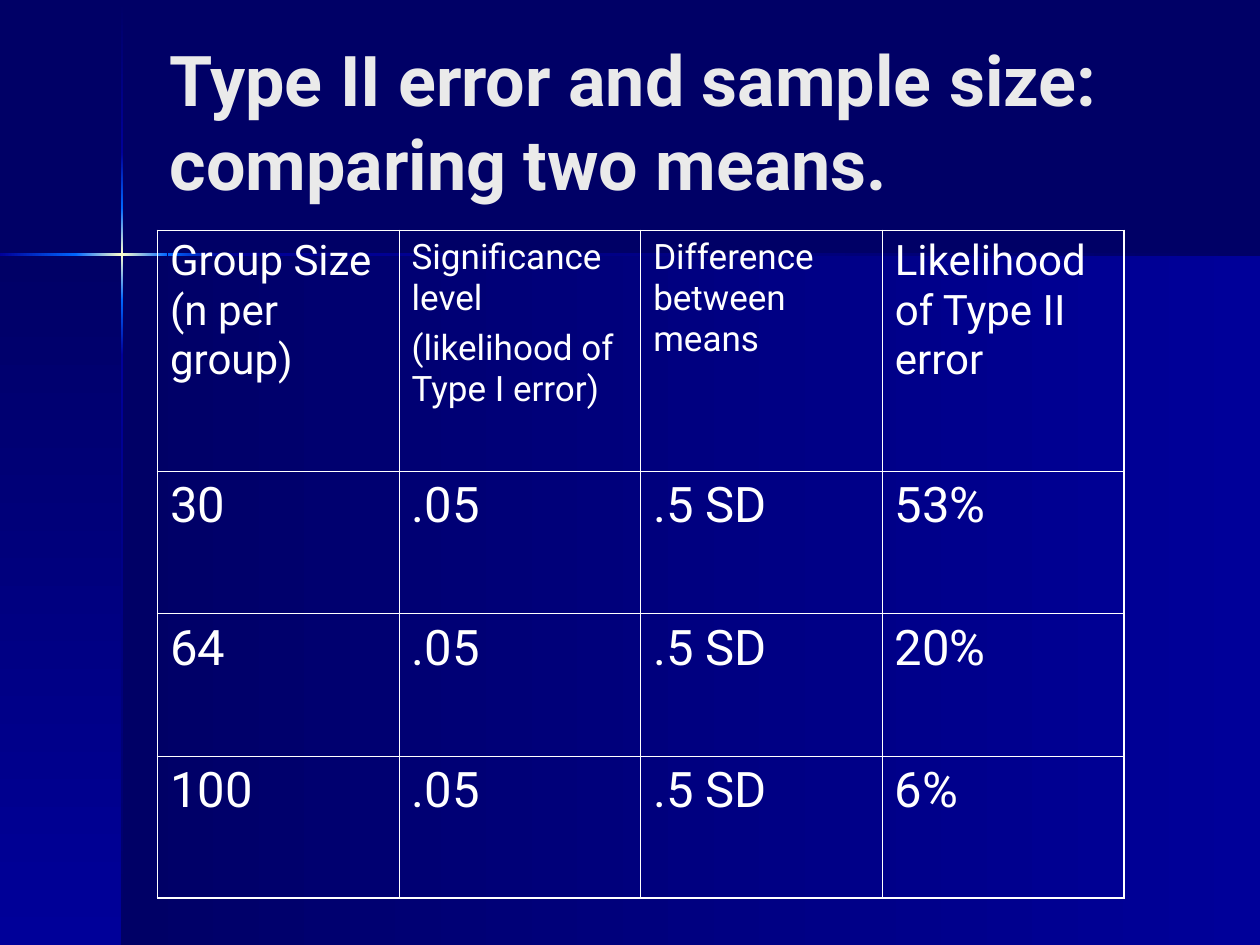
from copy import deepcopy

from lxml import etree
from pptx import Presentation
from pptx.dml.color import RGBColor
from pptx.enum.shapes import MSO_SHAPE
from pptx.enum.text import MSO_ANCHOR
from pptx.oxml.ns import qn
from pptx.util import Pt

RECT = MSO_SHAPE.RECTANGLE
MIDDLE = MSO_ANCHOR.MIDDLE
PX = 9144  # EMU per px, 100 px to the inch
FONT = "Roboto"
NAVY = RGBColor(0x00, 0x00, 0x66)
BLUE = RGBColor(0x00, 0x00, 0x99)
BRIGHT = RGBColor(0x00, 0x66, 0xFF)
GLOW = RGBColor(0xFF, 0xFF, 0xCC)
PALE = RGBColor(0xEA, 0xEA, 0xEA)
WHITE = RGBColor(0xFF, 0xFF, 0xFF)
DOWN, LEFTWARD = 270, 180


def write(tf, text, size, color=WHITE, bold=False, gap=0):
    """Write one paragraph per line, with a gap in points between them."""
    tf.word_wrap = True
    for i, line in enumerate(text.split("\n")):
        p = tf.add_paragraph() if i else tf.paragraphs[0]
        if i:
            p.space_before = Pt(gap)
        r = p.add_run()
        r.text = line
        r.font.name = FONT
        r.font.size = Pt(size)
        r.font.bold = bold
        r.font.color.rgb = color


def add_border(cell, side, width):
    ln = etree.SubElement(cell._tc.get_or_add_tcPr(), qn(f"a:ln{side}"), w=str(Pt(width)))
    fill = etree.SubElement(ln, qn("a:solidFill"))
    etree.SubElement(fill, qn("a:srgbClr"), val=str(WHITE))


prs = Presentation()
prs.slide_width, prs.slide_height = 1000 * PX, 750 * PX
slide = prs.slides.add_slide(prs.slide_layouts[6])
slide.background.fill.solid()
slide.background.fill.fore_color.rgb = NAVY

# Background panels and the glowing cross: left, top, width, height, angle, colours
bands = [
    (97, 202, 903, 548, LEFTWARD, (BLUE, NAVY)),
    (0, 202, 97, 548, DOWN, (NAVY, BLUE)),
    (96, 1, 2, 120, DOWN, (NAVY, BLUE)),
    (96, 282, 2, 468, DOWN, (BLUE, NAVY)),
    (177, 201, 823, 2, LEFTWARD, (NAVY, BLUE)),
    (96, 238, 2, 44, DOWN, (BRIGHT, BLUE)),
    (96, 121, 2, 44, DOWN, (BLUE, BRIGHT)),
    (96, 165, 2, 73, DOWN, (BRIGHT, GLOW, BRIGHT)),
    (0, 201, 61, 2, LEFTWARD, (BRIGHT, BLUE)),
    (133, 201, 44, 2, LEFTWARD, (BLUE, BRIGHT)),
    (60, 201, 73, 2, LEFTWARD, (BRIGHT, GLOW, BRIGHT)),
]
for left, top, width, height, angle, colors in bands:
    sp = slide.shapes.add_shape(RECT, left * PX, top * PX, width * PX, height * PX)
    sp.shadow.inherit = False
    sp.line.fill.background()
    sp.fill.gradient()
    sp.fill.gradient_angle = angle
    if len(colors) == 3:
        stops = next(sp._element.iter(qn("a:gsLst")))
        stops.append(deepcopy(stops[0]))
    for i, (stop, color) in enumerate(zip(sp.fill.gradient_stops, colors)):
        stop.position = i / (len(colors) - 1)
        stop.color.rgb = color

# Title
sp = slide.shapes.add_textbox(125 * PX, 17 * PX, 825 * PX, 157 * PX)
sp.text_frame.vertical_anchor = MIDDLE
write(sp.text_frame, "Type II error and sample size: comparing two means.", 40,
      color=PALE, bold=True)

# Table
headers = [
    ("Group Size (n per group)", 24),
    ("Significance level\n(likelihood of Type I error)", 20),
    ("Difference between means", 20),
    ("Likelihood of Type II error", 24),
]
results = [("30", "53%"), ("64", "20%"), ("100", "6%")]
rows = [headers] + [[(t, 28) for t in (n, ".05", ".5 SD", risk)] for n, risk in results]
heights = [191, 113, 113, 113]
last = len(rows) - 1
table = slide.shapes.add_table(4, 4, 125 * PX, 183 * PX, 767 * PX, sum(heights) * PX).table
table.first_row = table.horz_banding = False
for i, row in enumerate(rows):
    table.rows[i].height = heights[i] * PX
    for j, (text, size) in enumerate(row):
        cell = table.cell(i, j)
        write(cell.text_frame, text, size, gap=5)
        for side, outer in (("L", j == 0), ("R", j == last), ("T", i == 0), ("B", i == last)):
            add_border(cell, side, 1.08 if outer else 0.45)
        cell.fill.background()

prs.save("out.pptx")
